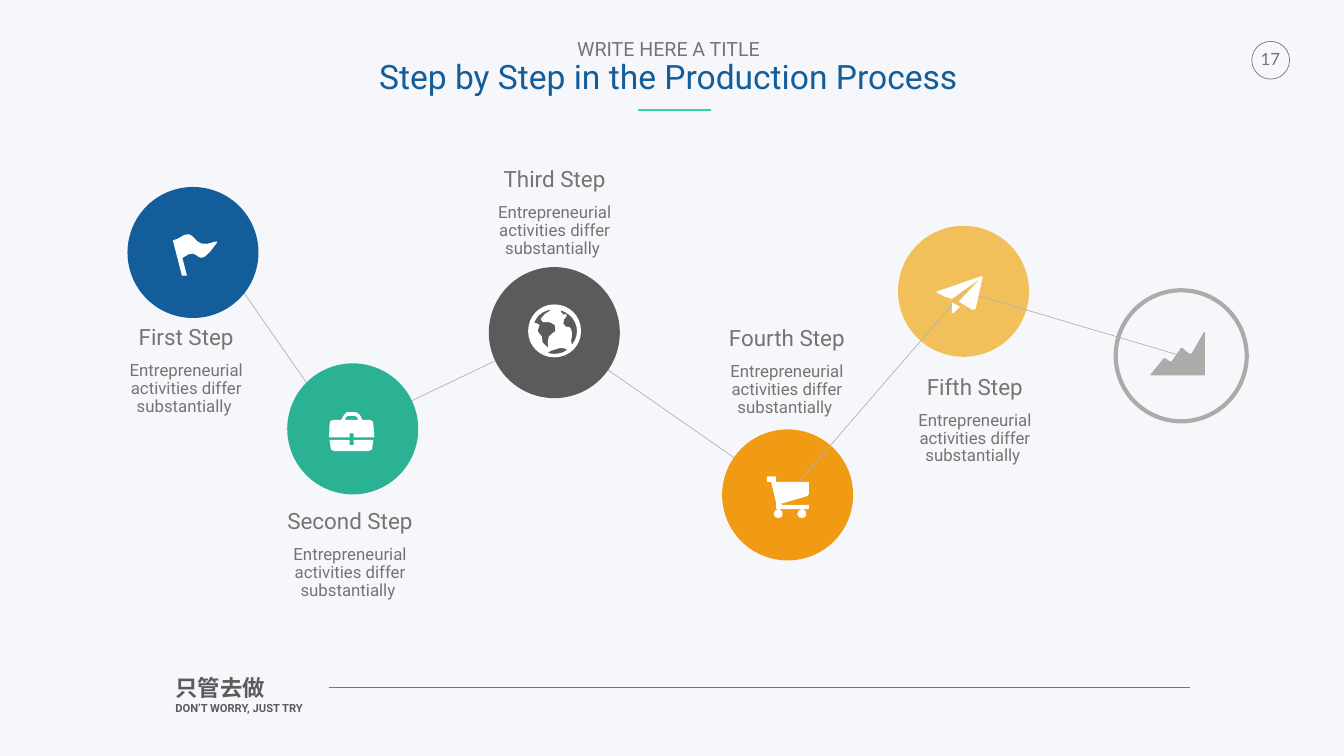
from math import ceil, dist

from pptx import Presentation
from pptx.dml.color import RGBColor
from pptx.enum.shapes import MSO_CONNECTOR, MSO_SHAPE
from pptx.enum.text import MSO_AUTO_SIZE, PP_ALIGN
from pptx.oxml.ns import qn
from pptx.util import Inches, Pt
from lxml import etree

STRAIGHT = MSO_CONNECTOR.STRAIGHT
OVAL = MSO_SHAPE.OVAL
GROW = MSO_AUTO_SIZE.SHAPE_TO_FIT_TEXT
CENTER, LEFT = PP_ALIGN.CENTER, PP_ALIGN.LEFT

BACKGROUND = RGBColor(0xF6, 0xF7, 0xFA)
WHITE = RGBColor(0xFF, 0xFF, 0xFF)
TEXT_GRAY = RGBColor(0x73, 0x75, 0x72)
LINK_GRAY = RGBColor(0xB2, 0xB2, 0xB2)
RING_GRAY = RGBColor(0xAB, 0xAC, 0xAA)
DARK = RGBColor(0x5B, 0x5B, 0x5B)
BLUE = RGBColor(0x13, 0x5D, 0x9A)
GREEN = RGBColor(0x2B, 0xB2, 0x94)
ORANGE = RGBColor(0xF1, 0x9A, 0x14)
YELLOW = RGBColor(0xF1, 0xC0, 0x5A)
ACCENT = RGBColor(0x33, 0xD1, 0xAD)

DIAMETER = 2.6
LABEL_WIDTH = 3.51
DESCRIPTION = "Entrepreneurial activities differ substantially "
# name, circle left and top, colour, label left and top
STEPS = [
    ("First Step", 2.53, 3.71, BLUE, 1.94, 6.31),
    ("Second Step", 5.7, 7.21, GREEN, 5.19, 9.97),
    ("Third Step", 9.7, 5.3, DARK, 9.25, 3.18),
    ("Fourth Step", 14.33, 8.52, ORANGE, 13.86, 6.34),
    ("Fifth Step", 17.82, 4.48, YELLOW, 17.59, 7.3),
]
LINKS_BEHIND = [((4.82, 5.78), (6.08, 7.59)), ((11, 6.6), (7, 8.51)),
                ((11, 6.6), (15.63, 9.82))]
LINKS_IN_FRONT = [((15.63, 9.82), (19.12, 5.78)), ((19.12, 5.78), (23.44, 7.06))]

# Each icon is a list of contours; two numbers are a corner, six are a Bézier curve.
FLAG = [[(4.29, 4.79), (3.73, 5.01, 3.96, 4.43, 3.52, 4.74), (3.43, 4.77), (3.61, 5.47),
         (3.71, 5.47), (3.62, 5.12), (4.01, 4.81, 3.85, 5.47, 4.31, 4.81)]]
BRIEFCASE = [
    [(6.94, 8.6), (7.02, 8.6), (7.02, 8.68), (7.43, 8.68), (7.41, 8.42),
     (7.41, 8.36, 7.39, 8.33, 7.33, 8.33), (7.19, 8.33), (7.14, 8.23),
     (7.12, 8.2, 7.11, 8.18, 7.07, 8.18), (6.88, 8.18), (6.83, 8.23), (6.77, 8.33),
     (6.62, 8.33), (6.56, 8.33, 6.54, 8.36, 6.54, 8.42), (6.53, 8.68), (6.94, 8.68)],
    [(6.86, 8.28), (6.91, 8.25), (7.04, 8.25), (7.09, 8.28), (7.11, 8.33), (6.85, 8.33)],
    [(7.02, 8.83), (6.94, 8.83), (6.94, 8.73), (6.54, 8.73), (6.56, 8.87),
     (6.56, 8.91, 6.57, 8.95, 6.64, 8.95), (7.31, 8.95),
     (7.38, 8.95, 7.39, 8.91, 7.39, 8.87), (7.41, 8.73), (7.02, 8.73)],
]
GLOBE = [
    [(11, 6.04), (10.71, 6.04, 10.48, 6.27, 10.48, 6.57),
     (10.48, 6.86, 10.71, 7.09, 11, 7.09), (11.3, 7.09, 11.53, 6.86, 11.53, 6.57),
     (11.53, 6.27, 11.3, 6.04, 11, 6.04)],
    [(11.45, 6.57), (11.45, 6.68, 11.41, 6.76, 11.35, 6.84),
     (11.33, 6.84, 11.31, 6.8, 11.33, 6.76), (11.35, 6.72, 11.35, 6.65, 11.35, 6.61),
     (11.35, 6.57, 11.33, 6.49, 11.3, 6.49), (11.24, 6.49, 11.22, 6.49, 11.18, 6.43),
     (11.14, 6.31, 11.3, 6.29, 11.24, 6.23), (11.22, 6.22, 11.14, 6.29, 11.12, 6.18),
     (11.14, 6.16), (11.31, 6.22, 11.45, 6.37, 11.45, 6.57)],
    [(10.94, 6.14), (10.89, 6.18), (10.85, 6.22, 10.83, 6.2, 10.81, 6.23),
     (10.79, 6.27, 10.73, 6.31, 10.73, 6.33), (10.77, 6.39),
     (10.79, 6.37, 10.83, 6.37, 10.87, 6.39), (10.89, 6.39, 11.08, 6.41, 11.02, 6.57),
     (11, 6.63, 10.9, 6.61, 10.89, 6.68), (10.87, 6.78), (10.87, 6.9), (10.77, 6.8),
     (10.77, 6.78, 10.75, 6.72, 10.75, 6.67), (10.75, 6.63, 10.67, 6.63, 10.67, 6.57),
     (10.67, 6.51, 10.71, 6.47, 10.71, 6.45), (10.69, 6.41, 10.62, 6.41, 10.6, 6.41),
     (10.65, 6.25, 10.79, 6.16, 10.94, 6.14)],
    [(10.87, 7), (10.93, 6.96), (11, 6.94), (11.12, 6.9),
     (11.16, 6.9, 11.24, 6.92, 11.26, 6.94), (11.18, 7, 11.1, 7.02, 11, 7.02),
     (10.96, 7.02, 10.9, 7.02, 10.87, 7)],
]


def cart_wheel(left):
    middle, right = left + 0.1, left + 0.18
    return [(left, 10.2), (left, 10.25, left + 0.05, 10.28, middle, 10.28),
            (left + 0.15, 10.28, right, 10.25, right, 10.2),
            (right, 10.15, left + 0.15, 10.1, middle, 10.1),
            (left + 0.05, 10.1, left, 10.15, left, 10.2)]


CART = [
    cart_wheel(15.35), cart_wheel(15.82),
    [(15.52, 9.99), (16.03, 9.84), (16.05, 9.8), (16.05, 9.56), (15.4, 9.56),
     (15.4, 9.47), (15.39, 9.45), (15.24, 9.45), (15.22, 9.47), (15.22, 9.56),
     (15.3, 9.56), (15.4, 9.97), (15.4, 10.09), (15.42, 10.1), (16.03, 10.1),
     (16.05, 10.09), (16.05, 10.02), (15.53, 10.02), (15.49, 10)],
]
PAPER_PLANE = [
    [(19.47, 5.48), (18.58, 5.79), (18.58, 5.8), (18.76, 5.89), (18.89, 5.93),
     (19.45, 5.53), (19.05, 5.96), (19.03, 5.98), (19.05, 6), (19.3, 6.15),
     (19.36, 6.13), (19.5, 5.5)],
    [(18.89, 6.2), (18.91, 6.22), (19.05, 6.09), (18.89, 6)],
]
CHART = [[(23.89, 6.59), (23.65, 7.01), (23.59, 7.01), (23.47, 6.91), (23.43, 6.91),
          (23.25, 7.17), (23.21, 7.17), (23.13, 7.11), (23.09, 7.11), (22.83, 7.43),
          (22.83, 7.45), (23.91, 7.45), (23.91, 6.59)]]


def add_line(page, start, end, color, width):
    line = page.shapes.add_connector(STRAIGHT, *map(Inches, start + end))
    line.line.color.rgb = color
    line.line.width = Pt(width)
    etree.SubElement(line._element.spPr, qn("a:effectLst"))


def add_circle(page, left, top, diameter, fill=None, outline=None, width=1):
    circle = page.shapes.add_shape(OVAL, *map(Inches, (left, top, diameter, diameter)))
    circle.shadow.inherit = False
    if fill is None:
        circle.fill.background()
        circle.line.color.rgb = outline
        circle.line.width = Pt(width)
    else:
        circle.fill.solid()
        circle.fill.fore_color.rgb = fill
        circle.line.fill.background()


def add_text(page, place, lines, insets=(0.1, 0.1), wrap=True, align=CENTER, spacing=None,
             font="Roboto", bold=False):
    """Add a text box; each line is its wording, size and colour."""
    box = page.shapes.add_textbox(*map(Inches, place))
    frame = box.text_frame
    frame.word_wrap = wrap
    frame.auto_size = GROW
    frame.margin_left = frame.margin_right = Inches(insets[0])
    frame.margin_top = frame.margin_bottom = Inches(insets[1])
    frame.text = "\n".join(wording for wording, _, _ in lines)
    for para, (_, size, color) in zip(frame.paragraphs, lines):
        para.alignment = align
        para.line_spacing = spacing
        for span in para.runs:
            span.font.name = font
            span.font.size = Pt(size)
            span.font.bold = bold
            span.font.color.rgb = color


def flatten(contour):
    """Turn corners and Bézier curves into points in EMU, more for longer curves."""
    points = [contour[0]]
    for part in contour[1:]:
        if len(part) == 2:
            points.append(part)
            continue
        nodes = [points[-1], part[:2], part[2:4], part[4:]]
        pieces = ceil(10 * dist(nodes[0], nodes[3]))
        for t in (piece / pieces for piece in range(1, pieces + 1)):
            weights = ((1 - t) ** 3, 3 * t * (1 - t) ** 2, 3 * t * t * (1 - t), t ** 3)
            points.append(tuple(sum(w * node[axis] for w, node in zip(weights, nodes))
                                for axis in (0, 1)))
    return [(Inches(x), Inches(y)) for x, y in points]


def add_icon(page, contours, color):
    outlines = [flatten(contour) for contour in contours]
    builder = page.shapes.build_freeform(*outlines[0][0])
    for outline in outlines:
        if outline is not outlines[0]:
            builder.move_to(*outline[0])
        builder.add_line_segments(outline[1:], close=True)
    icon = builder.convert_to_shape()
    icon.shadow.inherit = False
    icon.fill.solid()
    icon.fill.fore_color.rgb = color
    icon.line.fill.background()


def add_frame(page):
    add_circle(page, 24.84, 0.82, 0.75, outline=TEXT_GRAY)
    add_text(page, (3.43, 13.33, 3.99, 0.99),
             [("只管去做", 32, DARK), ("DON’T WORRY, JUST TRY", 16, DARK)],
             insets=(0.05, 0.05), align=LEFT, bold=True)
    add_line(page, (6.52, 13.64), (23.62, 13.64), TEXT_GRAY, 0.25)
    add_text(page, (24.92, 0.87, 0.58, 0.6), [("17", 24, TEXT_GRAY)], insets=(0, 0.1),
             wrap=False, font="Lato")
    add_text(page, (7.41, 0.74, 11.71, 1.33),
             [("WRITE HERE A TITLE", 28, TEXT_GRAY),
              ("Step by Step in the Production Process", 48, BLUE)],
             insets=(0.05, 0.05), wrap=False, spacing=0.9)
    add_line(page, (14.11, 2.18), (12.67, 2.18), ACCENT, 3)


def main():
    deck = Presentation()
    deck.slide_width, deck.slide_height = Inches(26.67), Inches(15)
    page = deck.slides.add_slide(deck.slide_layouts[6])
    page.background.fill.solid()
    page.background.fill.fore_color.rgb = BACKGROUND
    add_frame(page)
    for start, end in LINKS_BEHIND:
        add_line(page, start, end, LINK_GRAY, 1)
    for _, left, top, color, _, _ in STEPS:
        add_circle(page, left, top, DIAMETER, fill=color)
    add_circle(page, 22.14, 5.76, DIAMETER, outline=RING_GRAY, width=6)
    for start, end in LINKS_IN_FRONT:
        add_line(page, start, end, LINK_GRAY, 1)
    for name, _, _, _, left, top in STEPS:
        add_text(page, (left, top, LABEL_WIDTH, 0.73), [(name, 32, TEXT_GRAY)])
        add_text(page, (left, top + 0.77, LABEL_WIDTH, 1.32),
                 [(DESCRIPTION, 24, TEXT_GRAY)], spacing=0.89)
    for contours in (FLAG, BRIEFCASE, GLOBE, CART, PAPER_PLANE):
        add_icon(page, contours, WHITE)
    add_icon(page, CHART, RING_GRAY)
    deck.save("out.pptx")


if __name__ == "__main__":
    main()
